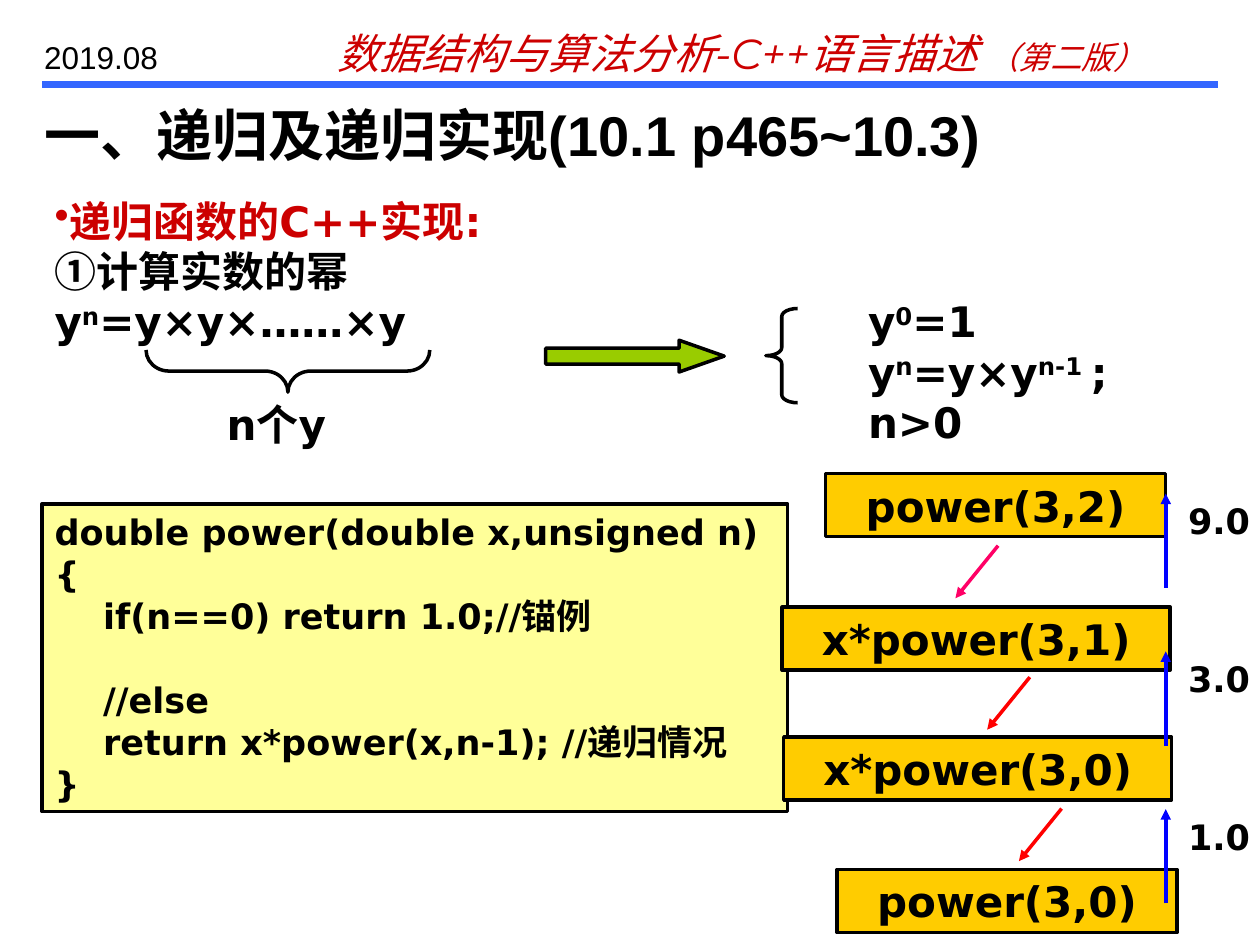
from dataclasses import dataclass

from pptx import Presentation
from pptx.dml.color import RGBColor
from pptx.enum.shapes import MSO_CONNECTOR, MSO_SHAPE
from pptx.enum.text import MSO_ANCHOR, PP_ALIGN
from pptx.oxml.ns import qn
from pptx.util import Cm, Pt
from lxml import etree

STRAIGHT = MSO_CONNECTOR.STRAIGHT
RECTANGLE = MSO_SHAPE.RECTANGLE
LEFT_BRACE = MSO_SHAPE.LEFT_BRACE
RIGHT_ARROW = MSO_SHAPE.RIGHT_ARROW
TOP, MIDDLE = MSO_ANCHOR.TOP, MSO_ANCHOR.MIDDLE
LEFT, CENTER = PP_ALIGN.LEFT, PP_ALIGN.CENTER


@dataclass(frozen=True)
class Theme:
    ink: str = "000000"
    accent: str = "CC0000"
    rule: str = "3366FF"
    code_fill: str = "FFFF99"
    call_fill: str = "FFCC00"
    arrow_fill: str = "99CC00"
    first_call: str = "FF0066"
    next_call: str = "FF0000"
    returned: str = "0000FF"
    body_font: str = "DejaVu Sans"
    title_font: str = "Arial"
    header_font: str = "Montserrat"
    title_size: int = 32
    body_size: int = 24
    code_size: int = 20
    small_size: int = 18
    outline: int = 2
    rule_width: int = 4


class SlideBuilder:
    def __init__(self, slide, theme):
        self.shapes = slide.shapes
        self.theme = theme

    def style(self, paragraph, size=None, font=None, color=None, bold=True, italic=False):
        paragraph.font.size = Pt(size or self.theme.body_size)
        paragraph.font.name = font or self.theme.body_font
        paragraph.font.color.rgb = RGBColor.from_string(color or self.theme.ink)
        paragraph.font.bold = bold
        paragraph.font.italic = italic

    def set_lines(self, frame, lines, align=LEFT, anchor=TOP, **style):
        frame.word_wrap = True
        frame.vertical_anchor = anchor
        for index, line in enumerate(lines):
            paragraph = frame.add_paragraph() if index else frame.paragraphs[0]
            paragraph.alignment = align
            self.style(paragraph, **style)
            for position, part in enumerate(line.split("^")):
                run = paragraph.add_run()
                run.text = part
                if position % 2:
                    run.font._element.set("baseline", "30000")
        return frame.paragraphs

    def text(self, box, lines, **style):
        frame = self.shapes.add_textbox(*map(Cm, box)).text_frame
        return self.set_lines(frame, lines, **style)

    def outlined(self, kind, box, fill=None, adjustments=(), rotation=0):
        shape = self.shapes.add_shape(kind, *map(Cm, box))
        shape.shadow.inherit = False
        shape.rotation = rotation
        for index, value in enumerate(adjustments):
            shape.adjustments[index] = value
        if fill:
            shape.fill.solid()
            shape.fill.fore_color.rgb = RGBColor.from_string(fill)
        else:
            shape.fill.background()
        shape.line.color.rgb = RGBColor.from_string(self.theme.ink)
        shape.line.width = Pt(self.theme.outline)
        return shape

    def panel(self, box, fill, lines, **style):
        return self.set_lines(self.outlined(RECTANGLE, box, fill).text_frame, lines, **style)

    def line(self, start, end, color, width=None, arrow=True):
        connector = self.shapes.add_connector(STRAIGHT, *map(Cm, start + end))
        connector.line.color.rgb = RGBColor.from_string(color)
        connector.line.width = Pt(width or self.theme.outline)
        if arrow:
            outline = connector.line._get_or_add_ln()
            etree.SubElement(outline, qn("a:tailEnd"), type="triangle")
        etree.SubElement(connector._element.spPr, qn("a:effectLst"))

    def bullet(self, paragraph, color):
        properties = paragraph._p.get_or_add_pPr()
        tint = etree.Element(qn("a:buClr"))
        etree.SubElement(tint, qn("a:srgbClr"), val=color)
        properties.insert(0, tint)
        properties.insert(1, etree.Element(qn("a:buChar"), char="•"))

    def indent(self, paragraph, amount):
        paragraph._p.get_or_add_pPr().set("marL", str(Cm(amount)))


def add_header(page, theme):
    page.line((0.85, 1.7), (24.55, 1.7), theme.rule, theme.rule_width, arrow=False)
    book, = page.text((6.55, 0.43, 17.78, 1.27), ["数据结构与算法分析-C++语言描述 ^（第二版）"],
                      font=theme.header_font, color=theme.accent, bold=False, italic=True)
    edition = book.runs[1].font
    edition._element.set("baseline", "0")
    edition.size = Pt(theme.small_size)
    page.text((0.64, 0.64, 3.6, 1.02), ["2019.08"],
              size=theme.small_size, font=theme.title_font, bold=False)
    page.text((0.64, 1.9, 23.06, 1.27), ["一、递归及递归实现(10.1 p465~10.3)"],
              size=theme.title_size, font=theme.title_font)


def add_definition(page, theme):
    topic, *_ = page.text((0.85, 3.81, 12.9, 4.32),
                          ["递归函数的C++实现:", "①计算实数的幂", "y^n^=y×y×……×y"])
    topic.font.color.rgb = RGBColor.from_string(theme.accent)
    page.bullet(topic, theme.accent)
    page.outlined(LEFT_BRACE, (5.38, 4.62, 0.85, 5.72), adjustments=(0.54, 0.5), rotation=270)
    page.text((4.32, 7.9, 2.79, 1.27), ["n个y"])
    page.text((17.25, 5.84, 6.12, 2.29), ["y^0^=1", "y^n^=y×y^n-1 ^; n>0"])
    page.outlined(LEFT_BRACE, (15.44, 6.22, 0.64, 1.9), adjustments=(0.25, 0.5))
    page.outlined(RIGHT_ARROW, (11, 6.86, 3.6, 0.64), theme.arrow_fill, (0.5, 1.42))


def add_code(page, theme):
    code = page.panel((0.85, 10.16, 15.03, 6.2), theme.code_fill, [
        "double power(double x,unsigned n)",
        "{",
        "if(n==0) return 1.0;//锚例",
        "//else",
        "return x*power(x,n-1); //递归情况",
        "}",
    ], size=theme.code_size)
    for statement in code[2:5]:
        page.indent(statement, 0.98)
    code[3].space_before = Pt(24)


def add_call_chain(page, theme):
    calls = [("power(3,2)", 16.64, 9.55, 6.86), ("x*power(3,1)", 15.77, 12.24, 7.82),
             ("x*power(3,0)", 15.8, 14.86, 7.82), ("power(3,0)", 16.87, 17.53, 6.86)]
    for call, left, top, width in calls:
        page.panel((left, top, width, 1.27), theme.call_fill, [call], align=CENTER, anchor=MIDDLE)
    for step, color in enumerate([theme.first_call, theme.next_call, theme.next_call]):
        x, y = 20.12 + 0.64 * step, 11 + 2.65 * step
        page.line((x, y), (x - 0.86, y + 1.06), color)
    for step, result in enumerate(["9.0", "3.0", "1.0"]):
        top = 9.95 + 3.18 * step
        page.line((23.5, top + 1.9), (23.5, top), theme.returned)
        page.text((23.7, top, 2.12, 1.12), [result], size=theme.code_size)


def main():
    presentation = Presentation()
    presentation.slide_width, presentation.slide_height = Cm(25.4), Cm(19.05)
    theme = Theme()
    page = SlideBuilder(presentation.slides.add_slide(presentation.slide_layouts[6]), theme)
    add_header(page, theme)
    add_definition(page, theme)
    add_code(page, theme)
    add_call_chain(page, theme)
    presentation.save("out.pptx")


if __name__ == "__main__":
    main()
